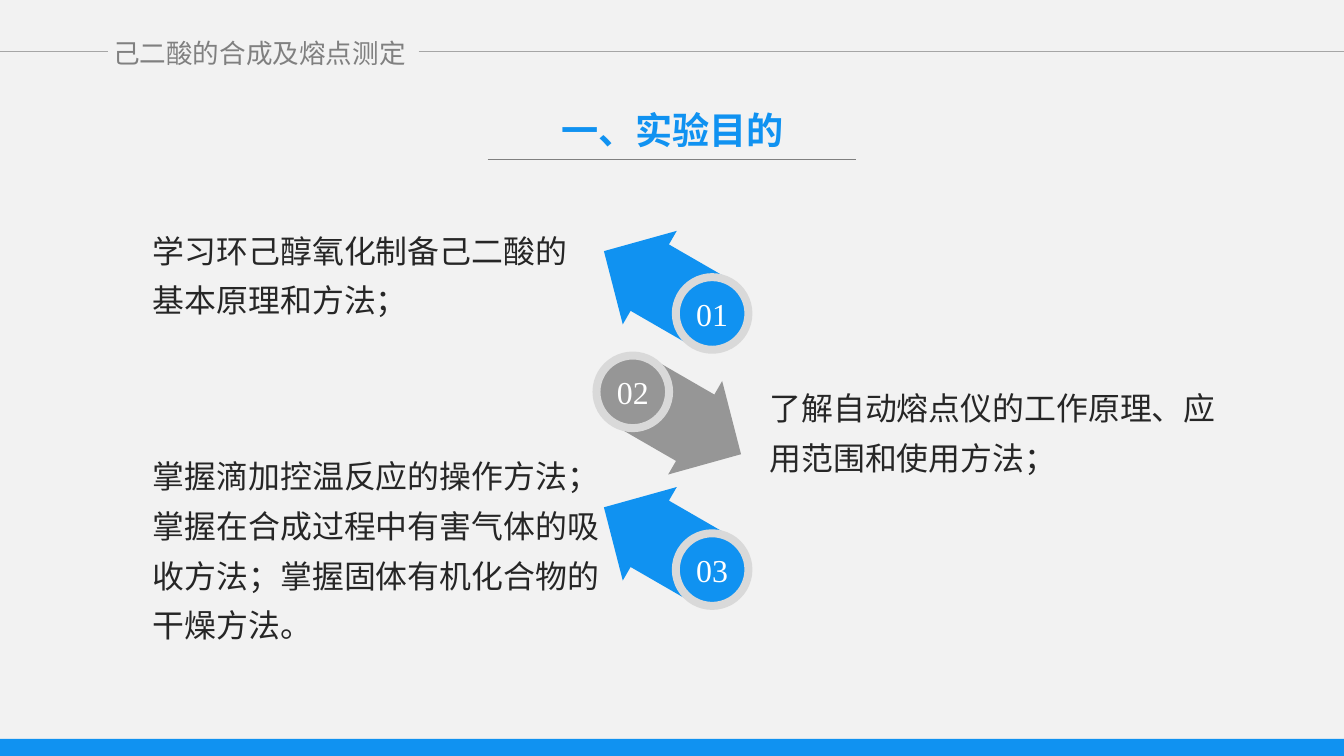
from lxml import etree
from pptx import Presentation
from pptx.dml.color import RGBColor
from pptx.enum.shapes import MSO_CONNECTOR, MSO_SHAPE
from pptx.enum.text import MSO_ANCHOR, MSO_AUTO_SIZE, PP_ALIGN
from pptx.oxml.ns import qn
from pptx.util import Inches, Pt

COLORS = {
    "background": "F2F2F2",
    "blue": "1092F1",
    "gray": "969696",
    "ring": "D9D9D9",
    "rule": "A6A6A6",
    "header": "808080",
    "text": "262626",
    "white": "FFFFFF",
}
SLIDE_WIDTH, SLIDE_HEIGHT = 14.06, 7.91
ARROW_WIDTH, ARROW_HEIGHT = 1.31, 1.13
ARROW_OFFSET_X, ARROW_OFFSET_Y = 0.565, 0.325
CIRCLE_SIZE = 0.76

NOTES = [
    ("学习环己醇氧化制备己二酸的基本原理和方法；", 1.6, 2.3, 4.65, 1),
    ("了解自动熔点仪的工作原理、应用范围和使用方法；", 8.05, 3.95, 4.8, 1),
    ("掌握滴加控温反应的操作方法；掌握在合成过程中有害气体的吸收方法；"
     "掌握固体有机化合物的干燥方法。", 1.6, 4.66, 4.88, 2.05),
]
MARKERS = [
    ("01", 7.45, 3.28, "blue", -1),
    ("02", 6.62, 4.1, "gray", 1),
    ("03", 7.45, 5.96, "blue", -1),
]


def color(name):
    return RGBColor.from_string(COLORS[name])


def place(shape, left, top, width, height):
    shape.left, shape.top = Inches(left), Inches(top)
    shape.width, shape.height = Inches(width), Inches(height)


def write(shape, text, size, color_name, font="Times New Roman", bold=False,
          align=PP_ALIGN.CENTER, anchor=MSO_ANCHOR.MIDDLE, wrap=True):
    frame = shape.text_frame
    frame.text = text
    frame.word_wrap = wrap
    frame.auto_size = MSO_AUTO_SIZE.NONE
    frame.vertical_anchor = anchor
    frame.margin_left = frame.margin_right = 0
    frame.margin_top = frame.margin_bottom = 0
    paragraph = frame.paragraphs[0]
    paragraph.alignment = align
    paragraph.space_before = Pt(0)
    paragraph.font.size = Pt(size)
    paragraph.font.name = font
    paragraph.font.bold = bold
    paragraph.font.color.rgb = color(color_name)
    return paragraph


def add_filled(slide, kind, left, top, width, height, fill):
    shape = slide.shapes.add_shape(
        kind, Inches(left), Inches(top), Inches(width), Inches(height))
    shape.shadow.inherit = False
    shape.fill.solid()
    shape.fill.fore_color.rgb = color(fill)
    shape.line.fill.background()
    return shape


def add_rule(slide, start, end, y, color_name, weight=1):
    line = slide.shapes.add_connector(
        MSO_CONNECTOR.STRAIGHT, Inches(start), Inches(y), Inches(end), Inches(y))
    line.line.color.rgb = color(color_name)
    line.line.width = Pt(weight)
    etree.SubElement(line.element.spPr, qn("a:effectLst"))


def add_header(slide):
    header = slide.shapes.add_textbox(
        Inches(0.93), Inches(0.38), Inches(3.57), Inches(0.34))
    write(header, "己二酸的合成及熔点测定", 20, "header", font="Arial")
    add_rule(slide, 0, 1.13, 0.54, "rule")
    add_rule(slide, 4.38, SLIDE_WIDTH, 0.54, "rule")


def fill_title(slide):
    title = slide.shapes.title
    place(title, 5.54, 1.12, 2.99, 0.47)
    write(title, "一、实验目的", 28, "blue", bold=True, anchor=MSO_ANCHOR.TOP)
    add_rule(slide, 5.1, 8.96, 1.67, "header", 0.75)


def fill_note(placeholder, text, left, top, width, height):
    place(placeholder, left, top, width, height)
    paragraph = write(placeholder, text, 24, "text",
                      align=PP_ALIGN.LEFT, anchor=MSO_ANCHOR.TOP)
    paragraph.line_spacing = 1.3
    properties = paragraph._p.get_or_add_pPr()
    properties.set("marL", "0")
    properties.set("indent", "0")
    bullet = etree.Element(qn("a:buNone"))
    properties.find(qn("a:defRPr")).addprevious(bullet)


def add_marker(slide, number, center_x, center_y, fill, direction):
    arrow = add_filled(
        slide, MSO_SHAPE.RIGHT_ARROW,
        center_x + direction * ARROW_OFFSET_X - ARROW_WIDTH / 2,
        center_y + direction * ARROW_OFFSET_Y - ARROW_HEIGHT / 2,
        ARROW_WIDTH, ARROW_HEIGHT, fill)
    arrow.adjustments[0] = 0.71
    arrow.adjustments[1] = 0.49
    arrow.rotation = 30 if direction > 0 else 210
    circle = add_filled(
        slide, MSO_SHAPE.OVAL, center_x - CIRCLE_SIZE / 2,
        center_y - CIRCLE_SIZE / 2, CIRCLE_SIZE, CIRCLE_SIZE, fill)
    circle.line.color.rgb = color("ring")
    circle.line.width = Pt(6)
    write(circle, number, 24, "white", wrap=False)


def main():
    presentation = Presentation()
    presentation.slide_width = Inches(SLIDE_WIDTH)
    presentation.slide_height = Inches(SLIDE_HEIGHT)
    comparison_layout = presentation.slide_layouts[4]
    slide = presentation.slides.add_slide(comparison_layout)
    slide.background.fill.solid()
    slide.background.fill.fore_color.rgb = color("background")

    add_filled(slide, MSO_SHAPE.RECTANGLE, 0, 7.73, SLIDE_WIDTH, 0.18, "blue")
    add_header(slide)
    fill_title(slide)
    _, *bodies, spare = slide.placeholders
    for body, note in zip(bodies, NOTES):
        fill_note(body, *note)
    spare.element.getparent().remove(spare.element)
    for marker in MARKERS:
        add_marker(slide, *marker)
    presentation.save("out.pptx")


if __name__ == "__main__":
    main()
